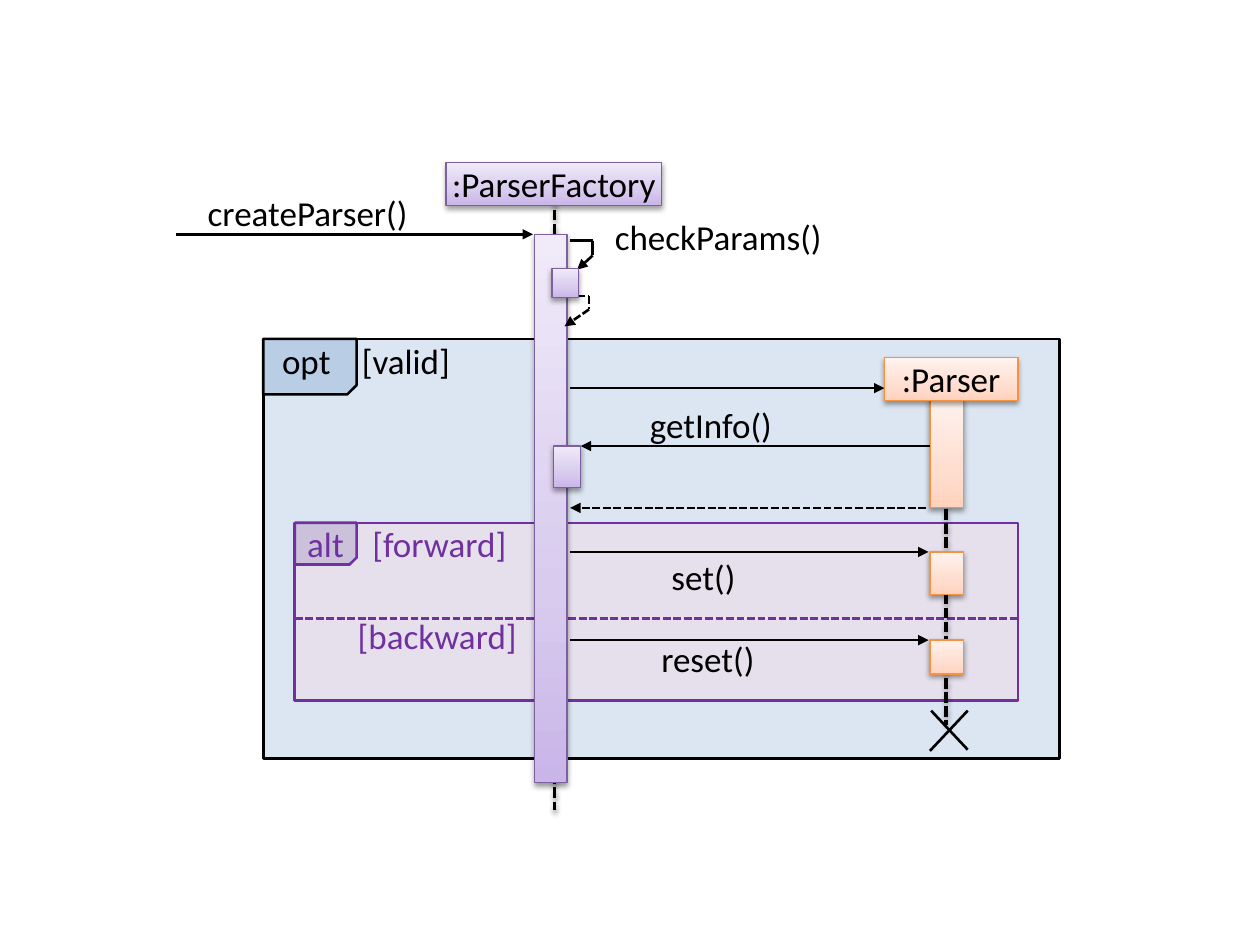
from copy import deepcopy
from dataclasses import dataclass, field

from lxml import etree
from pptx import Presentation
from pptx.dml.color import RGBColor
from pptx.enum.dml import MSO_LINE
from pptx.enum.shapes import MSO_CONNECTOR, MSO_SHAPE
from pptx.enum.text import MSO_ANCHOR, MSO_AUTO_SIZE, PP_ALIGN
from pptx.oxml.ns import qn
from pptx.util import Pt

RECT, SNIP = MSO_SHAPE.RECTANGLE, MSO_SHAPE.SNIP_1_RECTANGLE
STRAIGHT, DASH = MSO_CONNECTOR.STRAIGHT, MSO_LINE.SQUARE_DOT
TOP, MIDDLE, CENTER = MSO_ANCHOR.TOP, MSO_ANCHOR.MIDDLE, PP_ALIGN.CENTER
GROW, FIXED = MSO_AUTO_SIZE.SHAPE_TO_FIT_TEXT, MSO_AUTO_SIZE.NONE


@dataclass(frozen=True)
class Theme:
    font: str = "Calibri"
    size: float = 20
    ink: str = "000000"
    violet: str = "7030A0"
    opt: str = "DCE6F2"
    opt_tab: str = "B9CDE5"
    alt: str = "E6E0EC"
    alt_tab: str = "CCC1DA"
    lilac: tuple[str, ...] = ("C9B5E8", "D8CBEE", "F0EAF9")
    lilac_edge: str = "7D60A0"
    peach: tuple[str, ...] = ("FFD2BD", "FFDED0", "FFF2ED")
    peach_edge: str = "F69240"
    stops: tuple[float, ...] = (0, 0.35, 1)
    thin: float = 0.75
    line: float = 1.5
    life: float = 2


T = Theme()


@dataclass
class Frame:
    """Fragment outline with its snipped corner tab."""
    at: tuple
    tab: tuple
    fill: str
    tab_fill: str
    edge: str


@dataclass
class Label:
    at: tuple
    text: str
    color: str = T.ink
    stop: float = 0
    form: dict = field(default_factory=dict)


@dataclass
class Bar:
    """Head or activation of one participant."""
    at: tuple
    fill: tuple
    edge: str
    text: str = ""


@dataclass
class Wire:
    """Straight lines through the given points."""
    points: list
    dash: bool = False
    arrow: bool = True
    color: str = T.ink
    width: float = T.line
    shade: bool = False


def rgb(code: str) -> RGBColor:
    return RGBColor.from_string(code)


def apply(obj, form: dict) -> None:
    for name, value in form.items():
        setattr(obj, name, value)


def sub(node, tag: str, **attrs: str):
    return etree.SubElement(node, qn(tag), attrs)


def shadow(effects) -> None:
    """Add a soft shadow straight below."""
    outer = sub(effects, "a:outerShdw", blurRad=str(Pt(3.1)), dist=str(Pt(1.6)),
                dir="5400000", rotWithShape="0")
    sub(sub(outer, "a:srgbClr", val=T.ink), "a:alpha", val="38000")


def write(frame, text: str, color: str, stop: float = 0) -> None:
    para = frame.paragraphs[0]
    para.add_run().text = text
    if stop:
        tabs = sub(para._p.get_or_add_pPr(), "a:tabLst")
        sub(tabs, "a:tab", pos=str(Pt(stop)), algn="l")
    apply(para.runs[0].font, {"name": T.font, "size": Pt(T.size)})
    para.runs[0].font.color.rgb = rgb(color)


def block(shapes, kind, at: tuple, edge: str, width: float):
    shape = shapes.add_shape(kind, *map(Pt, at))
    shape.shadow.inherit = False
    shape.line.color.rgb = rgb(edge)
    shape.line.width = Pt(width)
    return shape


def draw_frame(shapes, item: Frame) -> None:
    tab = (*item.at[:2], *item.tab)
    for kind, at, fill in ((RECT, item.at, item.fill), (SNIP, tab, item.tab_fill)):
        shape = block(shapes, kind, at, item.edge, T.line)
        shape.fill.solid()
        shape.fill.fore_color.rgb = rgb(fill)
    shape._element.spPr.xfrm.set("flipV", "1")


def draw_label(shapes, item: Label) -> None:
    frame = shapes.add_textbox(*map(Pt, item.at)).text_frame
    apply(frame, {"word_wrap": True, "auto_size": GROW, **item.form})
    write(frame, item.text, item.color, item.stop)


def draw_bar(shapes, item: Bar) -> None:
    shape = block(shapes, RECT, item.at, item.edge, T.thin)
    fill, props = shape.fill, shape._element.spPr
    fill.gradient()
    fill.gradient_angle = 90
    stops = props.find(".//" + qn("a:gsLst"))
    stops.append(deepcopy(stops[0]))
    for stop, place, color in zip(fill.gradient_stops, T.stops, item.fill):
        stop.position = place
        stop.color.rgb = rgb(color)
    shadow(props.find(qn("a:effectLst")))
    if item.text:
        frame = shape.text_frame
        sides = ("left", "top", "right", "bottom")
        apply(frame, {f"margin_{side}": 0 for side in sides})
        apply(frame, {"vertical_anchor": TOP, "word_wrap": True})
        write(frame, item.text, T.ink)
        frame.paragraphs[0].alignment = CENTER


def draw_wire(shapes, item: Wire) -> None:
    for start, end in zip(item.points, item.points[1:]):
        wire = shapes.add_connector(STRAIGHT, *map(Pt, (*start, *end)))
        wire.line.color.rgb = rgb(item.color)
        wire.line.width = Pt(item.width)
        if item.dash:
            wire.line.dash_style = DASH
        effects = sub(wire._element.spPr, "a:effectLst")
        if item.shade:
            shadow(effects)
    if item.arrow:
        sub(wire.line._get_or_add_ln(), "a:tailEnd", type="triangle")


def lilac(*at: float, text: str = "") -> Bar:
    return Bar(at, T.lilac, T.lilac_edge, text)


def peach(*at: float, text: str = "") -> Bar:
    return Bar(at, T.peach, T.peach_edge, text)


def flat(left: float, right: float, y: float, **form) -> Wire:
    return Wire([(left, y), (right, y)], **form)


def life(x: float, top: float, end: float) -> Wire:
    return Wire([(x, top), (x, end)], True, False, width=T.life, shade=True)


FIXED_MID = {"vertical_anchor": MIDDLE, "auto_size": FIXED}
ROW, HEAD = 31.7, 24.5
OUT, PARSER, WIDE = 325.8, 531.4, 19.4
ITEMS = [
    Frame((150.5, 193.7, 455, 239.8), (53.3, ROW), T.opt, T.opt_tab, T.ink),
    Label((154.1, 190.8, 237.6, 30.2), "opt\t[valid]", stop=45.6, form=FIXED_MID),
    Frame((168.5, 298.8, 413.3, 101.5), (35.3, 23.8), T.alt, T.alt_tab, T.violet),
    Label((168.5, 300.2, 216, 20.9), "alt\t[forward]", T.violet, 37.2, FIXED_MID),
    flat(168.5, 581.8, 353.5, dash=True, arrow=False, color=T.violet),
    Label((197.3, 347.8, 109.4, 33.1), "[backward]", T.violet, form={"word_wrap": False}),
    life(316.8, 95.8, 463),
    lilac(254.9, 92.9, 123.1, HEAD, text=":ParserFactory"),
    flat(100.8, 304.6, 133.9),
    lilac(305.3, 133.9, 18.7, 313.2),
    life(540.7, 242.6, 414),
    flat(OUT, 505.4, 221.8),
    peach(PARSER, 228.2, WIDE, 61.9),
    flat(529.2, OUT, 290.2, dash=True),
    peach(505.4, 204.5, 76.3, HEAD, text=":Parser"),
    Label((111.6, 105.8, 143.3, ROW), "createParser()"),
    Wire([(OUT, 137.5), (338.7, 137.5), (338.7, 146), (329.8, 154.1)]),
    Wire([(329.8, 169.2), (336.6, 169.2), (336.6, 176.8), (322.6, 186.5)], dash=True),
    lilac(315.4, 153.4, 15.1, 16.6),
    Label((344.2, 119.5, 143.3, ROW), "checkParams()"),
    lilac(316.1, 254.9, 15.8, 23.8),
    flat(PARSER, 331.9, 254.9),
    Label((364.3, 226.8, 114.5, ROW), "getInfo()"),
    flat(OUT, 530.6, 315.4),
    Label((376.6, 313.9, 114.5, ROW), "set()"),
    peach(PARSER, 315.4, WIDE, HEAD),
    flat(OUT, 530.6, 365.8),
    Label((370.8, 360.7, 114.5, ROW), "reset()"),
    peach(PARSER, 365.8, WIDE, WIDE),
    Wire([(553, 428.4), (532.1, 406.1)], arrow=False),
    Wire([(553, 406.1), (531.4, 429.1)], arrow=False),
]
DRAW = {Frame: draw_frame, Label: draw_label, Bar: draw_bar, Wire: draw_wire}


def main() -> None:
    deck = Presentation()
    apply(deck, {"slide_width": Pt(720), "slide_height": Pt(540)})
    slide = deck.slides.add_slide(deck.slide_layouts[6])
    for item in ITEMS:
        DRAW[type(item)](slide.shapes, item)
    deck.save("out.pptx")


if __name__ == "__main__":
    main()
